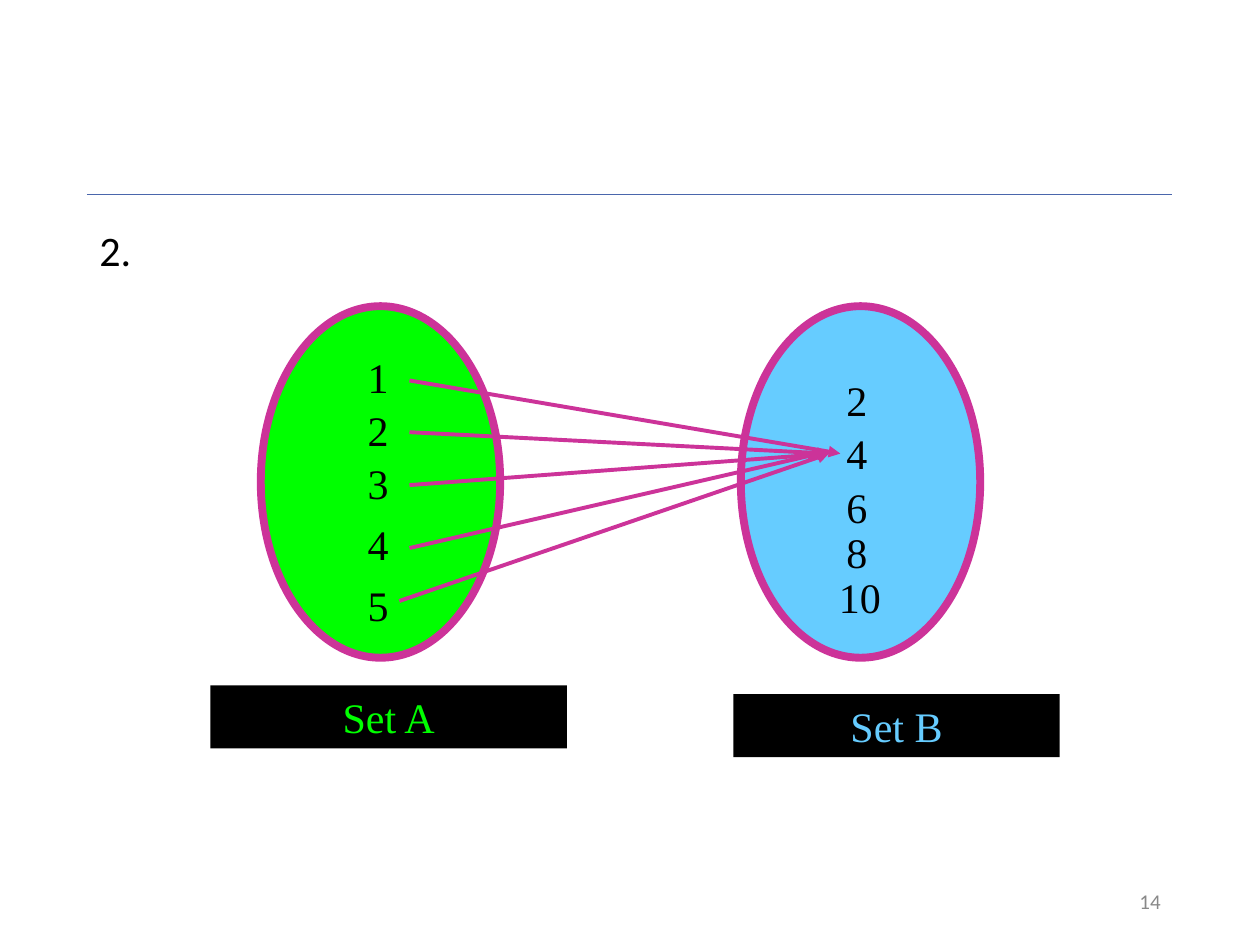
from lxml.etree import SubElement
from pptx import Presentation
from pptx.dml.color import RGBColor
from pptx.enum.shapes import MSO_CONNECTOR, MSO_SHAPE
from pptx.enum.text import MSO_ANCHOR, PP_ALIGN
from pptx.oxml.ns import qn
from pptx.util import Inches, Pt

BLACK = RGBColor(0x00, 0x00, 0x00)
GREEN = RGBColor(0x00, 0xFF, 0x00)
SKY = RGBColor(0x66, 0xCC, 0xFF)
MAGENTA = RGBColor(0xCC, 0x33, 0x99)
BLUE = RGBColor(0x4A, 0x66, 0xAC)
GREY = RGBColor(0x89, 0x89, 0x89)
SERIF = "Times New Roman"
SANS = "Calibri"


class MappingSlide:
    def __init__(self, s):
        self.s = s

    def set_text(self, sp, text, color, font=SERIF, size=24,
                 align=PP_ALIGN.LEFT, anchor=MSO_ANCHOR.TOP):
        tf = sp.text_frame
        tf.word_wrap = True
        tf.vertical_anchor = anchor
        p = tf.paragraphs[0]
        p.text = text
        p.alignment = align
        p.font.name = font
        p.font.size = Pt(size)
        p.font.color.rgb = color
        return p

    def text(self, box, text, color=BLACK, shapes=None, **style):
        shapes = shapes or self.s.shapes
        sp = shapes.add_textbox(*map(Inches, box))
        return self.set_text(sp, text, color, **style)

    def shape(self, shapes, kind, box, fill):
        sp = shapes.add_shape(kind, *map(Inches, box))
        sp.shadow.inherit = False
        sp.fill.solid()
        sp.fill.fore_color.rgb = fill
        sp.line.fill.background()
        return sp

    def line(self, start, end, color, width, arrow=False):
        c = self.s.shapes.add_connector(
            MSO_CONNECTOR.STRAIGHT, *map(Inches, start + end))
        c.line.color.rgb = color
        c.line.width = Pt(width)
        sp_pr = c._element.spPr
        if arrow:
            SubElement(sp_pr.find(qn("a:ln")), qn("a:tailEnd"), type="triangle")
        SubElement(sp_pr, qn("a:effectLst"))

    def number_set(self, left, color, members, label, label_box):
        shapes = self.s.shapes.add_group_shape().shapes
        oval = self.shape(shapes, MSO_SHAPE.OVAL, (left, 2.43, 1.9, 2.79), color)
        oval.line.color.rgb = MAGENTA
        oval.line.width = Pt(4.5)
        sp = self.shape(shapes, MSO_SHAPE.RECTANGLE, label_box, BLACK)
        self.set_text(sp, label, color, align=PP_ALIGN.CENTER)
        for number, x, y in members:
            width = 0.34 if len(number) == 1 else 0.54
            self.text((x, y, width, 0.5), number, shapes=shapes)


def main():
    prs = Presentation()
    prs.slide_width, prs.slide_height = Inches(10), Inches(7.5)
    slide = MappingSlide(prs.slides.add_slide(prs.slide_layouts[6]))

    slide.line((0.69, 1.54), (9.3, 1.54), BLUE, 0.5)
    p = slide.text((0.69, 1.78, 8.62, 4.76), "2.", font=SANS)
    p.line_spacing = 0.9

    a_tops = (2.74, 3.16, 3.58, 4.07, 4.55)
    a_members = [(str(n), 2.82, y) for n, y in enumerate(a_tops, 1)]
    slide.number_set(2.07, GREEN, a_members, "Set A", (1.67, 5.44, 2.83, 0.5))

    b_members = [("2", 6.62, 2.92), ("4", 6.62, 3.34), ("6", 6.62, 3.77),
                 ("8", 6.62, 4.13), ("10", 6.56, 4.49)]
    slide.number_set(5.88, SKY, b_members, "Set B", (5.82, 5.51, 2.59, 0.5))

    arrows = [(3.25, 3.02, 6.67), (3.25, 3.43, 6.58), (3.25, 3.85, 6.58),
              (3.25, 4.35, 6.5), (3.17, 4.77, 6.58)]
    for x, y, tip in arrows:
        slide.line((x, y), (tip, 3.6), MAGENTA, 2.25, arrow=True)

    slide.text((7.06, 6.95, 2.25, 0.4), "14", GREY, font=SANS, size=12,
               align=PP_ALIGN.RIGHT, anchor=MSO_ANCHOR.MIDDLE)
    prs.save("out.pptx")


if __name__ == "__main__":
    main()
